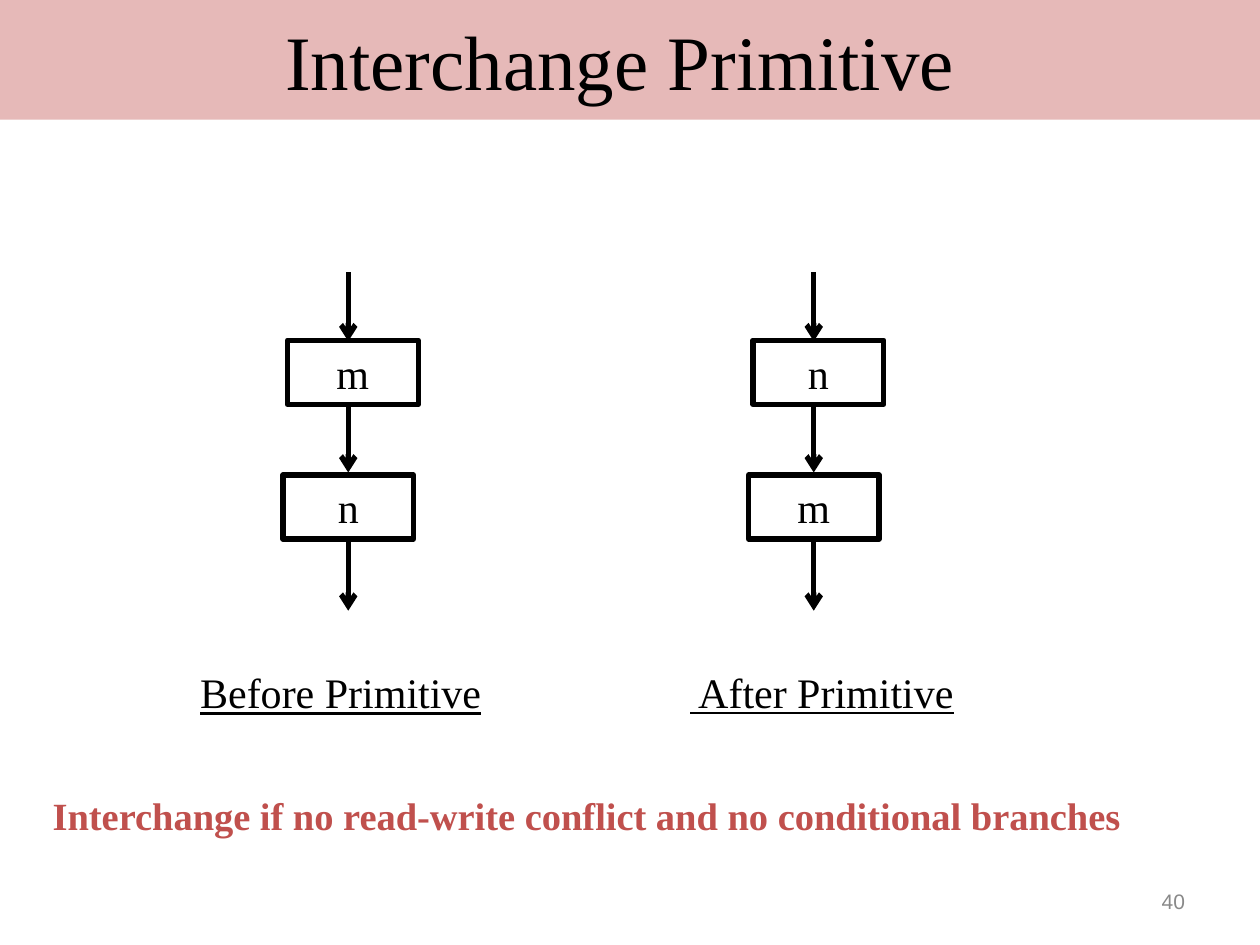
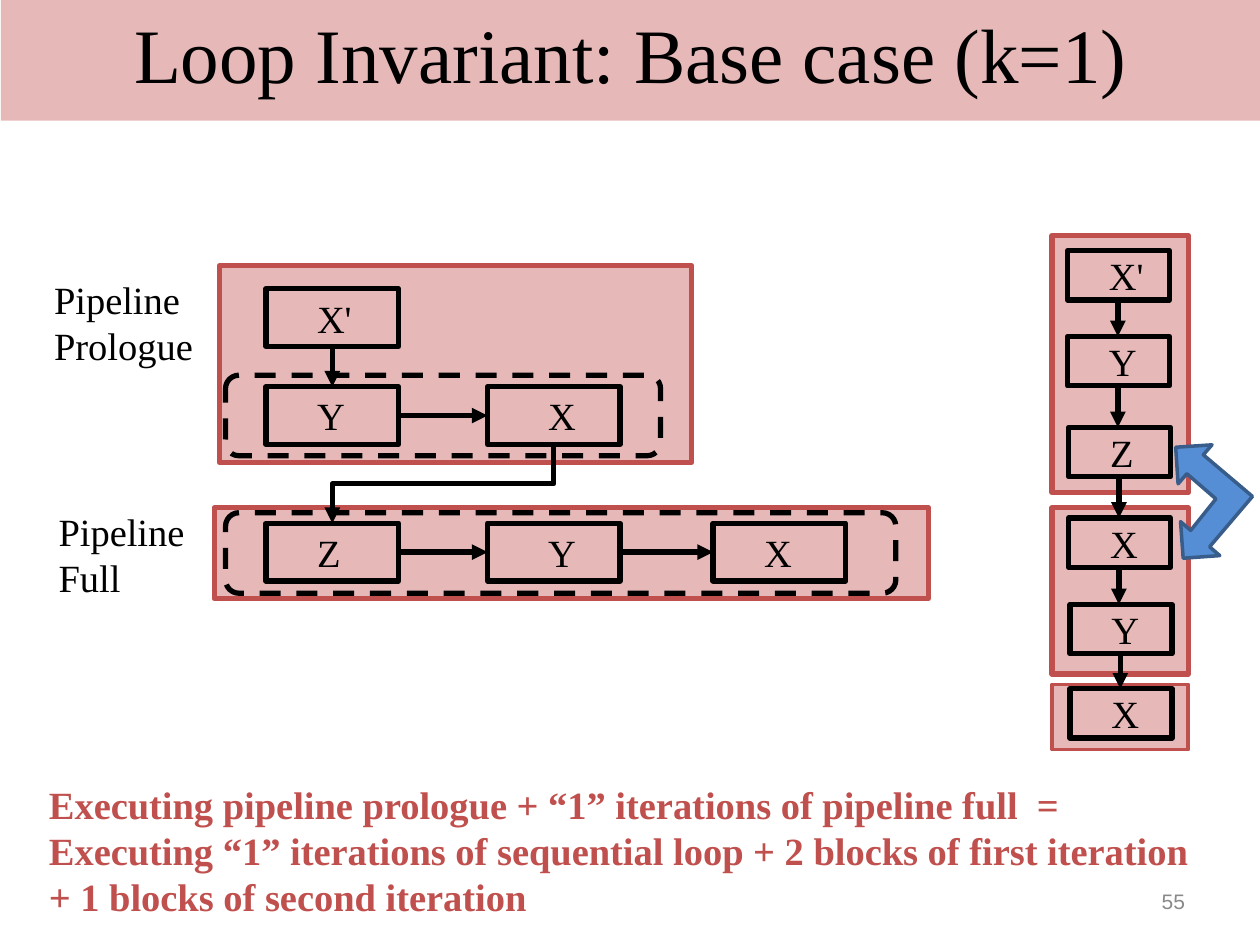
from dataclasses import dataclass
from itertools import pairwise

from lxml.etree import SubElement
from pptx import Presentation
from pptx.dml.color import RGBColor
from pptx.enum.dml import MSO_LINE
from pptx.enum.shapes import MSO_CONNECTOR, MSO_SHAPE
from pptx.enum.text import MSO_ANCHOR, PP_ALIGN
from pptx.oxml.ns import qn
from pptx.util import Pt


@dataclass(frozen=True)
class Theme:
    ink: RGBColor = RGBColor.from_string("000000")
    band: RGBColor = RGBColor.from_string("E6B9B8")
    accent: RGBColor = RGBColor.from_string("C0504D")
    muted: RGBColor = RGBColor.from_string("898989")
    arrow_fill: RGBColor = RGBColor.from_string("558ED5")
    arrow_edge: RGBColor = RGBColor.from_string("385D8A")
    serif: str = "Times New Roman"
    sans: str = "Arial"
    title: int = 44
    node: int = 24
    body: int = 22
    number: int = 12
    stroke: int = 3


theme = Theme()


def add_block(slide, text, box, kind=None, fill=None, line=None, width=theme.stroke,
              dash=None, size=theme.body, font=theme.serif, color=theme.ink, bold=False,
              underline=False, align=PP_ALIGN.LEFT, anchor=MSO_ANCHOR.TOP,
              insets=(7.2, 3.6, 7.2, 3.6)):
    """Add a text box, or a preset shape when kind is given, with formatted text."""
    place = [Pt(value) for value in box]
    if kind is None:
        shape = slide.shapes.add_textbox(*place)
    else:
        shape = slide.shapes.add_shape(kind, *place)
        shape.shadow.inherit = False
    if fill is None:
        shape.fill.background()
    else:
        shape.fill.solid()
        shape.fill.fore_color.rgb = fill
    if line is None:
        shape.line.fill.background()
    else:
        shape.line.color.rgb = line
        shape.line.width = Pt(width)
        shape.line.dash_style = dash
    if not text:
        return
    frame = shape.text_frame
    frame.word_wrap = True
    frame.vertical_anchor = anchor
    (frame.margin_left, frame.margin_top,
     frame.margin_right, frame.margin_bottom) = [Pt(value) for value in insets]
    frame.text = text
    for paragraph in frame.paragraphs:
        paragraph.alignment = align
        for run in paragraph.runs:
            run.font.name = font
            run.font.size = Pt(size)
            run.font.color.rgb = color
            run.font.bold = bold
            run.font.underline = underline


def add_arrow(slide, start, end, head="triangle", kind=MSO_CONNECTOR.STRAIGHT, rotation=0):
    """Add a black connector with an arrowhead at its end."""
    connector = slide.shapes.add_connector(kind, *[Pt(value) for value in (*start, *end)])
    connector.rotation = rotation
    connector.line.color.rgb = theme.ink
    connector.line.width = Pt(theme.stroke)
    outline = connector.line._get_or_add_ln()
    SubElement(outline, qn("a:tailEnd"), type=head)
    SubElement(connector._element.spPr, qn("a:effectLst"))


presentation = Presentation()
presentation.slide_width = Pt(720)
presentation.slide_height = Pt(540)
blank = presentation.slide_layouts[6]
interchange = presentation.slides.add_slide(blank)
base_case = presentation.slides.add_slide(blank)

# Slide 1: nodes in the order before and after the interchange
node_style = dict(kind=MSO_SHAPE.RECTANGLE, line=theme.ink, size=theme.node,
                  align=PP_ALIGN.CENTER, anchor=MSO_ANCHOR.MIDDLE,
                  insets=(3.6, 1.44, 3.6, 1.44))
for axis, upper, lower in ((199, "m", "n"), (465, "n", "m")):
    add_block(interchange, upper, (axis - 34.8, 194.4, 74.8, 36.7), **node_style)
    add_block(interchange, lower, (axis - 37.2, 271.4, 74.5, 36.7), **node_style)
    for top, bottom in ((155.5, 195), (230, 270), (309, 349)):
        add_arrow(interchange, (axis, top), (axis, bottom), head="arrow")

# Slide 1: captions and condition
add_block(interchange, "Before Primitive", (107.3, 377.5, 190, 36),
          size=theme.node, underline=True)
add_block(interchange, " After Primitive", (375.1, 377.3, 186.5, 36),
          size=theme.node, underline=True, insets=(19.2, 3.6, 7.2, 3.6))
add_block(interchange, "Interchange if no read-write conflict and no conditional branches",
          (23, 449.3, 677, 34), color=theme.accent, bold=True)

# Slide 2: panels of the pipeline and of the sequential loop
for box, width in (
    ((125.3, 151.9, 270, 112.3), 3),
    ((122.4, 290.2, 408.2, 51.8), 3),
    ((601.2, 134.6, 77.8, 146.9), 3),
    ((601.2, 391, 77.8, 37.4), 2),
    ((601.2, 290.2, 77.8, 95), 3),
):
    add_block(base_case, "", box, kind=MSO_SHAPE.RECTANGLE, fill=theme.band,
              line=theme.accent, width=width)

# Slide 2: dashed frames around each iteration
for top, width in ((293, 383), (214.4, 248.6)):
    add_block(base_case, "", (128.9, top, width, 46), kind=MSO_SHAPE.ROUNDED_RECTANGLE,
              line=theme.ink, dash=MSO_LINE.DASH)

# Slide 2: pipeline blocks on a grid, text indented inside each
block_style = dict(kind=MSO_SHAPE.RECTANGLE, line=theme.ink, anchor=MSO_ANCHOR.MIDDLE)
columns = (152, 278.6, 407.5)
rows = (165, 221, 299)
block_width, block_height = 75.8, 33
for name, column, row, indent in (
    ("X'", 0, 0, 22), ("Y", 0, 1, 22), ("X", 1, 1, 27.5),
    ("Z", 0, 2, 22), ("Y", 1, 2, 27.5), ("X", 2, 2, 22),
):
    add_block(base_case, name, (columns[column], rows[row], block_width, block_height),
              insets=(7.2 + indent, 3.6, 0, 3.6), **block_style)

# Slide 2: pipeline arrows
middle = columns[0] + block_width / 2
add_arrow(base_case, (middle, rows[0] + block_height), (middle, rows[1]))
for column, row in ((0, 1), (0, 2), (1, 2)):
    y = rows[row] + block_height / 2
    add_arrow(base_case, (columns[column] + block_width, y), (columns[column + 1], y))

# The elbow is laid out sideways about its centre, then turned a quarter
drop_start, drop_end = rows[1] + block_height, rows[2]
span, drop = columns[1] - columns[0], drop_end - drop_start
center_x, center_y = middle + span / 2, (drop_start + drop_end) / 2
add_arrow(base_case, (center_x - drop / 2, center_y - span / 2),
          (center_x + drop / 2, center_y + span / 2),
          kind=MSO_CONNECTOR.ELBOW, rotation=90)

# Slide 2: sequential loop blocks and the arrows between them
sequence = (("X'", 610, 143.3), ("Y", 610, 192.3), ("Z", 610.6, 244.2),
            ("X", 610.6, 296), ("Y", 611.4, 345.4), ("X", 611.4, 393.6))
for name, left, top in sequence:
    add_block(base_case, name, (left, top, 58.3, 28.2),
              insets=(23.7, 3.6, 0, 3.6), **block_style)
for (_, left, top), (_, _, next_top) in pairwise(sequence):
    add_arrow(base_case, (left + 28.8, top + 28.2), (left + 28.8, next_top))

# Slide 2: two-way arrow linking the block Z to the next iteration
outline = ((676.1, 319), (674.6, 298.1), (680.4, 303.1), (694.8, 285.1), (678.2, 270.7),
           (673.2, 276.5), (671.8, 255.6), (692.6, 254.2), (687.6, 259.9), (715.7, 283.7),
           (691.2, 312.5), (697, 317.5))
points = [(Pt(x), Pt(y)) for x, y in outline]
builder = base_case.shapes.build_freeform(*points[0], scale=1.0)
builder.add_line_segments(points[1:], close=True)
link = builder.convert_to_shape()
link.shadow.inherit = False
link.fill.solid()
link.fill.fore_color.rgb = theme.arrow_fill
link.line.color.rgb = theme.arrow_edge
link.line.width = Pt(2)

# Slide 2: row labels and conclusion
add_block(base_case, "Pipeline\nPrologue", (23.8, 154.1, 99.4, 60.5))
add_block(base_case, "Pipeline\nFull", (26.4, 286.6, 92.9, 60.5))
add_block(base_case,
          "Executing pipeline prologue + “1” iterations of pipeline full  =\n"
          "Executing “1” iterations of sequential loop + 2 blocks of first iteration "
          "+ 1 blocks of second iteration",
          (20.9, 442.8, 681, 86.4), color=theme.accent, bold=True)

# Title bands and slide numbers
for slide, title, left, top, anchor, right_inset, number in (
    (interchange, "Interchange Primitive", 0, -0.5, MSO_ANCHOR.MIDDLE, 18.2, "40"),
    (base_case, "Loop Invariant: Base case (k=1)", 0.5, 0, MSO_ANCHOR.TOP, 7.2, "55"),
):
    add_block(slide, title, (left, top, 720, 69), kind=MSO_SHAPE.RECTANGLE, fill=theme.band,
              size=theme.title, align=PP_ALIGN.CENTER, anchor=anchor,
              insets=(7.2, 3.6, right_inset, 3.6))
    add_block(slide, number, (516.2, 500.5, 168, 28.8), size=theme.number, font=theme.sans,
              color=theme.muted, align=PP_ALIGN.RIGHT, anchor=MSO_ANCHOR.MIDDLE)

presentation.save("out.pptx")
